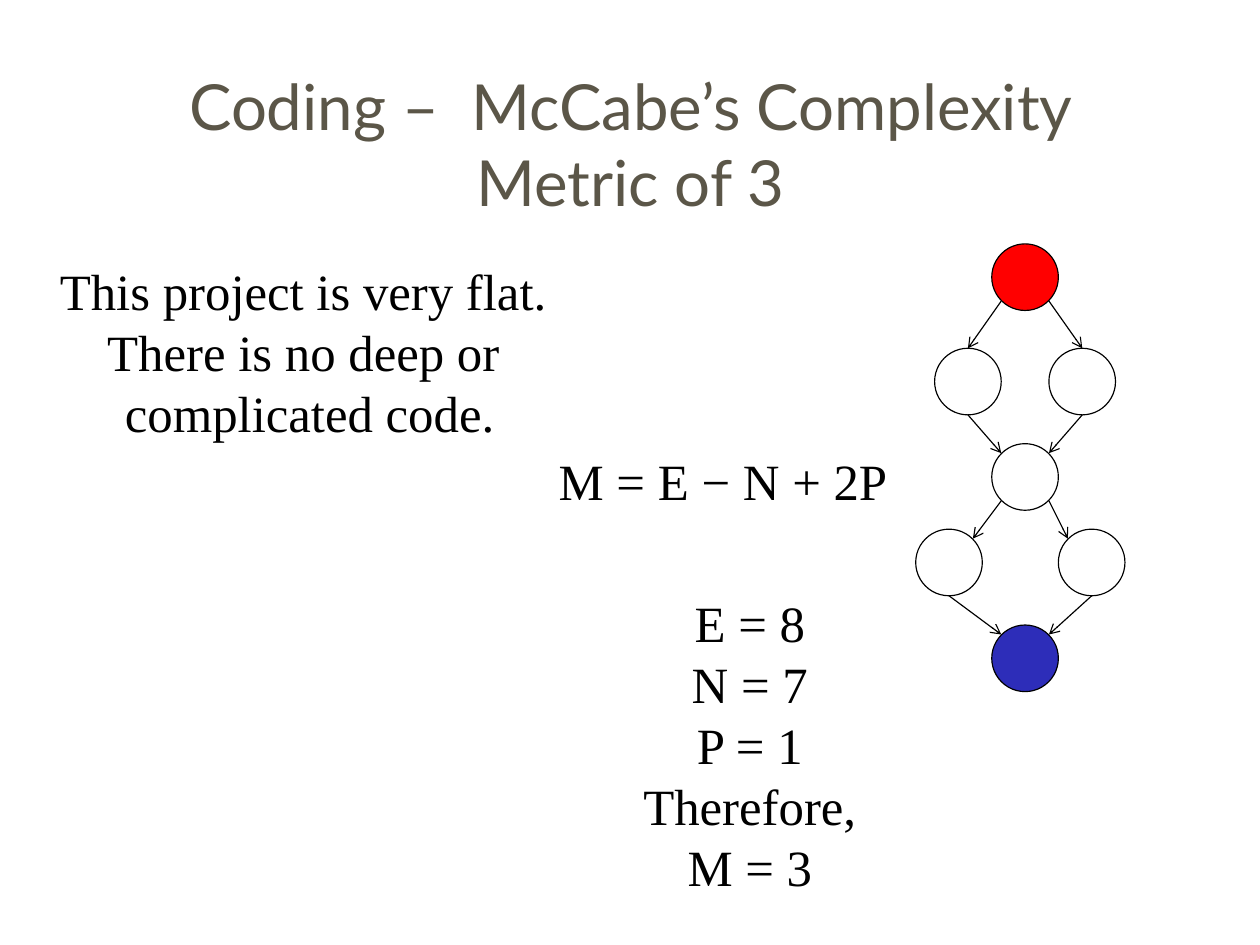
import pptx
import pptx.util
import pptx.dml.color
import pptx.enum.shapes
import pptx.enum.text
import pptx.oxml
import pptx.oxml.ns

Cm = pptx.util.Cm
Pt = pptx.util.Pt
MSO_ANCHOR = pptx.enum.text.MSO_ANCHOR

RADIUS = 0.74
DIAGONAL = 0.53
AXIS = 22.78
SITES = {
    "top": (0, -RADIUS),
    "bottom": (0, RADIUS),
    "upper left": (-DIAGONAL, -DIAGONAL),
    "upper right": (DIAGONAL, -DIAGONAL),
    "lower left": (-DIAGONAL, DIAGONAL),
    "lower right": (DIAGONAL, DIAGONAL),
}
NODES = {
    "entry": (AXIS, 6.16, "FF0000"),
    "left branch": (AXIS - 1.27, 8.48, "FFFFFF"),
    "right branch": (AXIS + 1.27, 8.48, "FFFFFF"),
    "merge": (AXIS, 10.6, "FFFFFF"),
    "left case": (AXIS - 1.69, 12.5, "FFFFFF"),
    "right case": (AXIS + 1.48, 12.5, "FFFFFF"),
    "exit": (AXIS, 14.63, "2D2DB9"),
}
EDGES = [
    ("entry", "lower left", "left branch", "top"),
    ("entry", "lower right", "right branch", "top"),
    ("left branch", "bottom", "merge", "upper left"),
    ("right branch", "bottom", "merge", "upper right"),
    ("merge", "lower left", "left case", "upper right"),
    ("merge", "lower right", "right case", "upper left"),
    ("left case", "bottom", "exit", "upper left"),
    ("right case", "bottom", "exit", "upper right"),
]
TITLE_FONT = {"name": "Lato", "size": Pt(40)}
BODY_FONT = {"name": "Times New Roman", "size": Pt(32)}
TITLE_FRAME = {
    "word_wrap": True,
    "vertical_anchor": MSO_ANCHOR.MIDDLE,
    "margin_left": Cm(0.1),
    "margin_right": Cm(0.1),
    "margin_top": Cm(0.1),
    "margin_bottom": Cm(0.1),
}
BODY_FRAME = {"word_wrap": False, "vertical_anchor": MSO_ANCHOR.TOP}
TITLE_PARAGRAPH = {"alignment": pptx.enum.text.PP_ALIGN.CENTER}
BODY_PARAGRAPH = {**TITLE_PARAGRAPH, "line_spacing": Pt(38.4)}


def rgb(value):
    return pptx.dml.color.RGBColor.from_string(value)


def apply(target, values):
    for key, value in values.items():
        setattr(target, key, value)


def add_text(slide, box, lines, font, color, frame_format, paragraph_format):
    frame = slide.shapes.add_textbox(*map(Cm, box)).text_frame
    apply(frame, frame_format)
    frame.text = "\n".join(lines)
    for paragraph in frame.paragraphs:
        apply(paragraph, paragraph_format)
        for run in paragraph.runs:
            apply(run.font, font)
            run.font.color.rgb = rgb(color)


def add_body(slide, box, lines):
    add_text(slide, box, lines, BODY_FONT, "000000", BODY_FRAME, BODY_PARAGRAPH)


def outline(shape):
    shape.line.color.rgb = rgb("000000")
    shape.line.width = Pt(0.75)


def add_node(slide, x, y, color):
    node = slide.shapes.add_shape(
        pptx.enum.shapes.MSO_SHAPE.OVAL,
        Cm(x - RADIUS), Cm(y - RADIUS), Cm(2 * RADIUS), Cm(2 * RADIUS))
    node.shadow.inherit = False
    node.fill.solid()
    node.fill.fore_color.rgb = rgb(color)
    outline(node)


def site_point(node, site):
    x, y, _ = NODES[node]
    dx, dy = SITES[site]
    return Cm(x + dx), Cm(y + dy)


def add_edge(slide, source, source_site, target, target_site):
    edge = slide.shapes.add_connector(
        pptx.enum.shapes.MSO_CONNECTOR.STRAIGHT,
        *site_point(source, source_site), *site_point(target, target_site))
    outline(edge)
    properties = edge.element.spPr
    head = pptx.oxml.parse_xml(
        f'<a:tailEnd {pptx.oxml.ns.nsdecls("a")} type="arrow"/>')
    edge.line._get_or_add_ln().append(head)
    properties.append(pptx.oxml.parse_xml(
        f'<a:effectLst {pptx.oxml.ns.nsdecls("a")}/>'))


def main():
    deck = pptx.Presentation()
    apply(deck, {"slide_width": Cm(28), "slide_height": Cm(21)})
    slide = deck.slides.add_slide(deck.slide_layouts[6])
    add_text(slide, (2.18, 1.19, 23.65, 3.99),
             ["Coding –  McCabe’s Complexity Metric of 3"],
             TITLE_FONT, "5B5648", TITLE_FRAME, TITLE_PARAGRAPH)
    for edge in EDGES:
        add_edge(slide, *edge)
    for node in NODES.values():
        add_node(slide, *node)
    add_body(slide, (0.41, 5.64, 12.67, 4.32),
             ["This project is very flat.", "There is no deep or",
              " complicated code."])
    add_body(slide, (11.89, 9.86, 8.36, 1.63), ["M = E − N + 2P"])
    add_body(slide, (13.64, 13.03, 6.05, 7.04),
             ["E = 8", "N = 7", "P = 1", "Therefore,", "M = 3"])
    deck.save("out.pptx")


if __name__ == "__main__":
    main()
